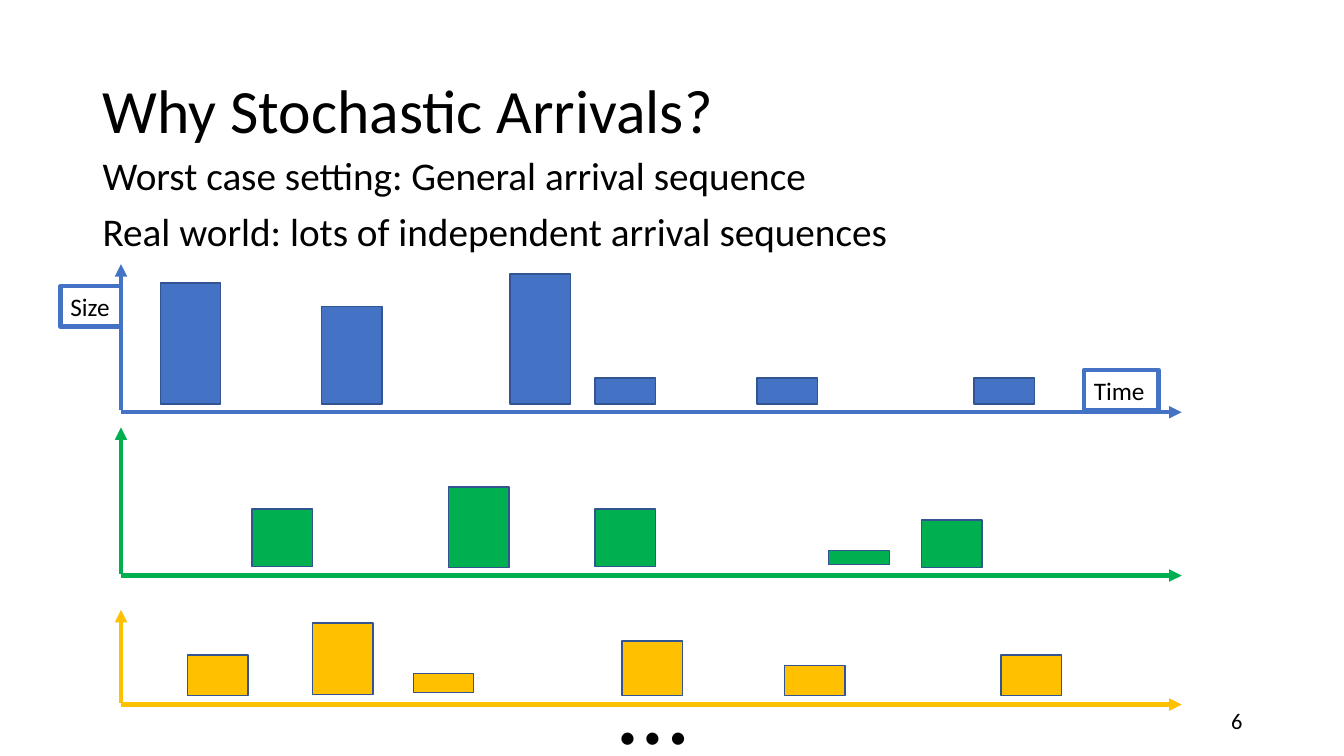
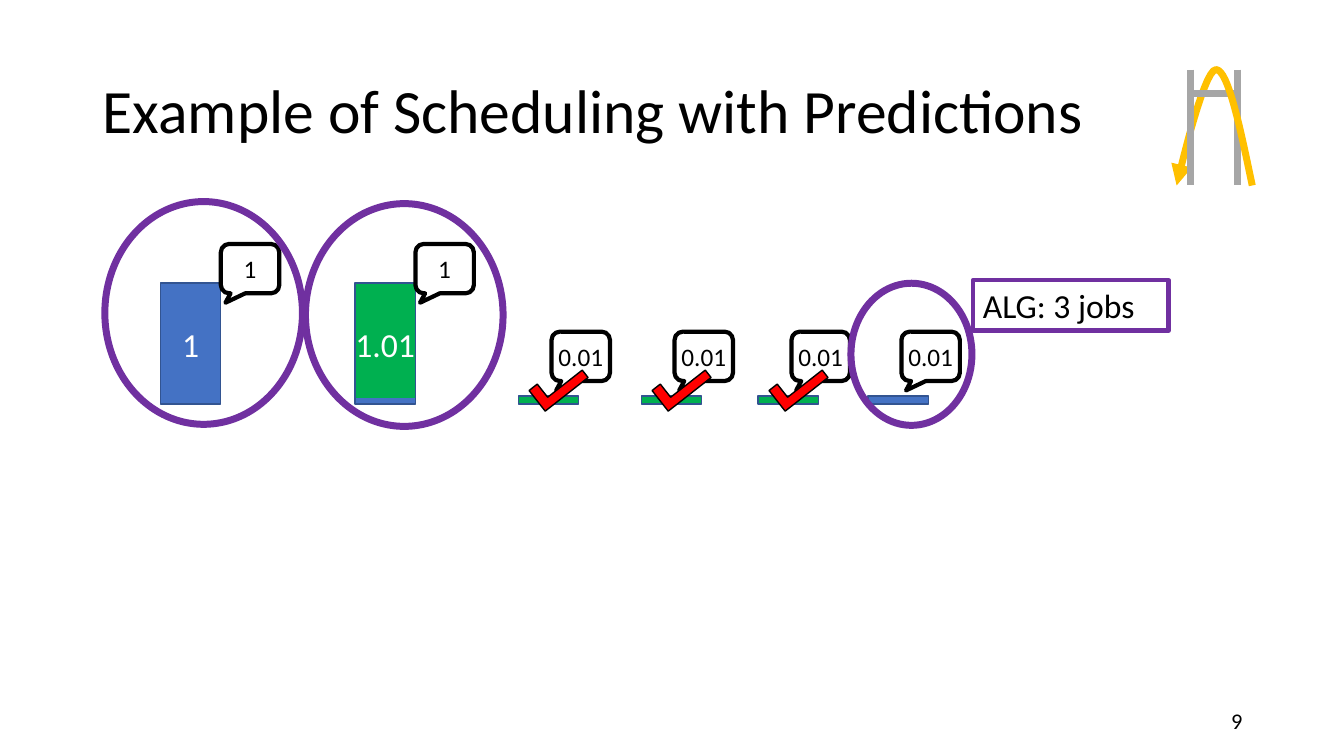
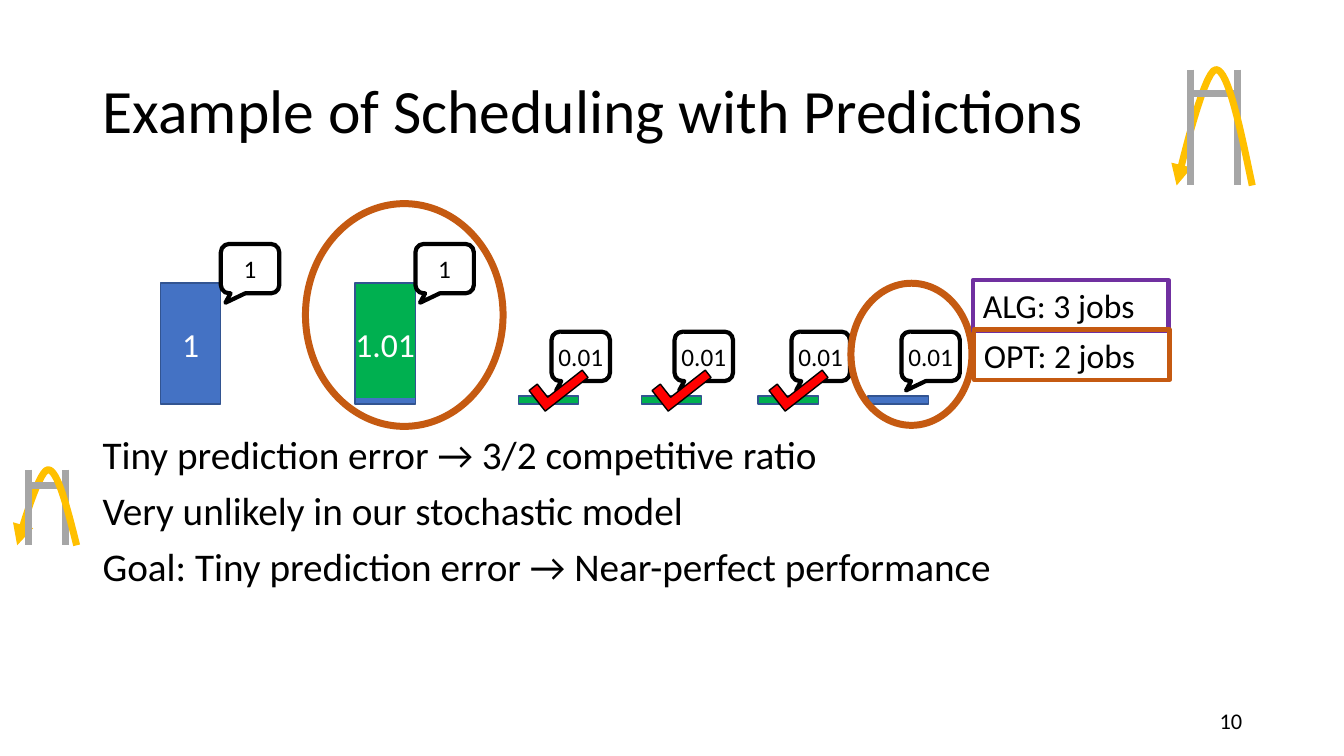
from copy import deepcopy
from pptx import Presentation, util as u
from pptx.dml.color import RGBColor
from pptx.enum import shapes, text
from pptx.oxml import ns
from lxml import etree

BLUE = RGBColor(0x44, 0x72, 0xC4)
EDGE = RGBColor(0x32, 0x54, 0x91)
GREEN = RGBColor(0x00, 0xB0, 0x50)
GOLD = RGBColor(0xFF, 0xC0, 0x00)
GRAY = RGBColor(0xA6, 0xA6, 0xA6)
RED = RGBColor(0xFF, 0x00, 0x00)
PURPLE = RGBColor(0x70, 0x30, 0xA0)
RUST = RGBColor(0xC5, 0x5A, 0x11)
BLACK = RGBColor(0, 0, 0)
WHITE = RGBColor(255, 255, 255)
KIND = shapes.MSO_SHAPE
LEFT, CENTER, RIGHT = text.PP_ALIGN.LEFT, text.PP_ALIGN.CENTER, text.PP_ALIGN.RIGHT
TOP, MID = text.MSO_ANCHOR.TOP, text.MSO_ANCHOR.MIDDLE

WIDE, HIGH = 13.33, 7.5
EDGE_X, BODY_W = 0.92, 11.5
BAR = 0.6
AXIS = (1.2, 11.72)

ROWS = [
    (BLUE, 2.62, 4.09, [(1.59, 2.81, 1.2), (3.19, 3.04, 0.97), (5.06, 2.72, 1.29),
                        (5.9, 3.75, 0.26), (7.51, 3.75, 0.26), (9.66, 3.75, 0.26)]),
    (GREEN, 4.24, 5.71, [(2.5, 5.05, 0.57), (4.45, 4.83, 0.8), (5.9, 5.05, 0.57),
                         (8.22, 5.46, 0.14), (9.14, 5.16, 0.47)]),
    (GOLD, 6.05, 6.99, [(1.86, 6.5, 0.4), (3.1, 6.18, 0.71), (4.1, 6.68, 0.19),
                        (6.17, 6.36, 0.54), (7.78, 6.6, 0.3), (9.93, 6.5, 0.4)]),
]
NAMES = [("Size", (0.6, 2.84, 0.6, 0.4)), ("Time", (10.75, 3.67, 0.74, 0.4))]
WHY = ["Worst case setting: General arrival sequence",
       "Real world: lots of independent arrival sequences"]
GOALS = ["Tiny prediction error → 3/2 competitive ratio",
         "Very unlikely in our stochastic model",
         "Goal: Tiny prediction error → Near-perfect performance"]

BIG = [(1.59, "1", False), (3.52, "1.01", True)]
SMALL = [(5.14, GREEN), (6.36, GREEN), (7.52, GREEN), (8.61, BLUE)]
FIRST, SECOND, LAST = (1.04, 2, 1.96, 2.21), (3.03, 2.02, 1.96, 2.21), (8.44, 2.81, 1.2, 1.41)
ALG = ("ALG: 3 jobs", PURPLE, (9.65, 2.78, 1.94, 0.5))
OPT = ("OPT: 2 jobs", RUST, (9.66, 3.27, 1.94, 0.5))
CASES = [
    (9, PURPLE, [FIRST, SECOND, LAST], [ALG], [], [(11.67, 0.69, 0.75, 1.15)]),
    (10, RUST, [SECOND, LAST], [ALG, OPT], GOALS,
     [(11.67, 0.69, 0.75, 1.15), (0.17, 4.66, 0.59, 0.75)]),
]
ARC = [[(1, 1), (0.84, 0.5), (0.68, 0), (0.52, 0)],
       [(0.52, 0), (0.35, 0), (0, 1), (0, 1)]]
STEPS = 16


def inch(*vals):
    return [u.Inches(v) for v in vals]


def assign(item, **vals):
    for key, val in vals.items():
        setattr(item, key, val)


def write(shape, lines, size, color=BLACK, align=LEFT, anchor=TOP, wrap=True,
          inset=(0.1, 0.05, 0.1, 0.05), lead=None, gap=0):
    frame = shape.text_frame
    sides = ("margin_left", "margin_top", "margin_right", "margin_bottom")
    assign(frame, word_wrap=wrap, vertical_anchor=anchor, **dict(zip(sides, inch(*inset))))
    for i, line in enumerate(lines):
        para = frame.paragraphs[0] if i == 0 else frame.add_paragraph()
        assign(para, alignment=align, line_spacing=lead)
        if i:
            para.space_before = u.Pt(gap)
        run = para.add_run()
        run.text = line
        assign(run.font, name="Calibri", size=u.Pt(size))
        run.font.color.rgb = color


def words(slide, box, lines, size, **form):
    write(slide.shapes.add_textbox(*inch(*box)), lines, size, **form)


def stroke(line, color, width, arrow=False):
    line.color.rgb = color
    line.width = u.Pt(width)
    if arrow:
        etree.SubElement(line._get_or_add_ln(), ns.qn("a:tailEnd"), type="triangle")


def draw(slide, kind, box, fill, edge, width, adj=()):
    shape = slide.shapes.add_shape(kind, *inch(*box))
    shape.shadow.inherit = False
    if fill is None:
        shape.fill.background()
    else:
        shape.fill.solid()
        shape.fill.fore_color.rgb = fill
    stroke(shape.line, edge, width)
    for i, val in enumerate(adj):
        shape.adjustments[i] = val
    return shape


def rule(slide, x1, y1, x2, y2, color, width, arrow=False):
    line = slide.shapes.add_connector(shapes.MSO_CONNECTOR.STRAIGHT, *inch(x1, y1, x2, y2))
    stroke(line.line, color, width, arrow)
    etree.SubElement(line._element.spPr, ns.qn("a:effectLst"))


def bar(slide, x, y, h, color):
    return draw(slide, KIND.RECTANGLE, (x, y, BAR, h), color, EDGE, 1)


def label(slide, name, color, box):
    shape = draw(slide, KIND.RECTANGLE, box, None, color, 3)
    write(shape, [name], 24 if box[2] > 1 else 18, inset=(0.1, 0.05, 0, 0.05))


def body(slide, top, lines):
    words(slide, (EDGE_X, top, BODY_W, 0.6 * len(lines)), lines, 28, lead=0.9, gap=10)


def split(shape):
    shape.fill.gradient()
    shape.fill.gradient_angle = 270
    stops = shape._element.spPr.find(".//" + ns.qn("a:gsLst"))
    for stop in list(stops):
        stops.append(deepcopy(stop))
    marks = [(0, GREEN), (0.95, GREEN), (0.95, BLUE), (1, BLUE)]
    for stop, (spot, color) in zip(shape.fill.gradient_stops, marks):
        stop.position = spot
        stop.color.rgb = color


def guess(slide, x, y, value):
    shape = draw(slide, KIND.ROUNDED_RECTANGULAR_CALLOUT, (x, y, 0.58, 0.49),
                 WHITE, BLACK, 3, (-0.42, 0.69, 0.17))
    write(shape, [value], 18, align=CENTER, anchor=MID, wrap=False, inset=(0, 0, 0, 0))


def hurdle(slide, x, y, w, h):
    near, far, mid, beam = x + 0.19 * w, x + 0.81 * w, x + 0.5 * w, y + 0.21 * h
    rule(slide, far, y, far, y + h, GRAY, 5)
    rule(slide, near, beam, far, beam, GRAY, 5)
    dots = []
    for a, b, c, d in ARC:
        for i in range(STEPS + 1):
            t = i / STEPS
            s = 1 - t
            px, py = [s**3 * a[k] + 3 * s * s * t * b[k] + 3 * s * t * t * c[k] + t**3 * d[k]
                      for k in (0, 1)]
            dots.append(inch(x + w * px, y + h * py))
    curve = slide.shapes.build_freeform(*dots[0])
    curve.add_line_segments(dots[1:], close=False)
    leap = curve.convert_to_shape()
    leap.shadow.inherit = False
    leap.fill.background()
    stroke(leap.line, GOLD, 5, True)
    rule(slide, near, y, near, y + h, GRAY, 5)
    rule(slide, near, beam, mid, beam, GRAY, 5)


def start(deck, title, number):
    slide = deck.slides.add_slide(deck.slide_layouts[6])
    words(slide, (EDGE_X, 0.4, BODY_W, 1.45), [title], 44, anchor=MID, lead=0.9)
    words(slide, (9.42, 6.95, 3, 0.4), [str(number)], 16, align=RIGHT, anchor=MID)
    return slide


def arrivals(deck):
    slide = start(deck, "Why Stochastic Arrivals?", 6)
    left, right = AXIS
    for color, top, base, bars in ROWS:
        for x, y, h in bars:
            bar(slide, x, y, h, color)
        rule(slide, left, base, right, base, color, 3, True)
        rule(slide, left, base - 0.02, left, top, color, 3, True)
    for name, box in NAMES:
        label(slide, name, BLUE, box)
    words(slide, (6.04, 6.34, 0.82, HIGH - 6.34), ["…"], 72, inset=(0.1, 0.05, 0, 0))
    body(slide, 1.5, WHY)


def example(deck, number, color, rings, labels, lines, icons):
    slide = start(deck, "Example of Scheduling with Predictions", number)
    for icon in icons:
        hurdle(slide, *icon)
    for x, size, mixed in BIG:
        job = bar(slide, x, 2.81, 1.2, BLUE)
        if mixed:
            split(job)
        write(job, [size], 24, WHITE, CENTER, MID, False, (0, 0.05, 0, 0.05))
        guess(slide, x + BAR, 2.42, "1")
    for x, tint in SMALL:
        bar(slide, x, 3.93, 0.08, tint)
        guess(slide, x + 0.33, 3.29, "0.01")
        if tint == GREEN:
            tick = draw(slide, KIND.CORNER, (x + 0.13, 3.68, 0.54, 0.26),
                        RED, BLACK, 1, (0.36, 0.4))
            tick.rotation = 321.9
    for ring in rings:
        draw(slide, KIND.OVAL, ring, None, color, 5)
    for item in labels:
        label(slide, *item)
    if lines:
        body(slide, 4.27, lines)


def main():
    deck = Presentation()
    deck.slide_width, deck.slide_height = inch(WIDE, HIGH)
    arrivals(deck)
    for case in CASES:
        example(deck, *case)
    deck.save("out.pptx")


if __name__ == "__main__":
    main()
